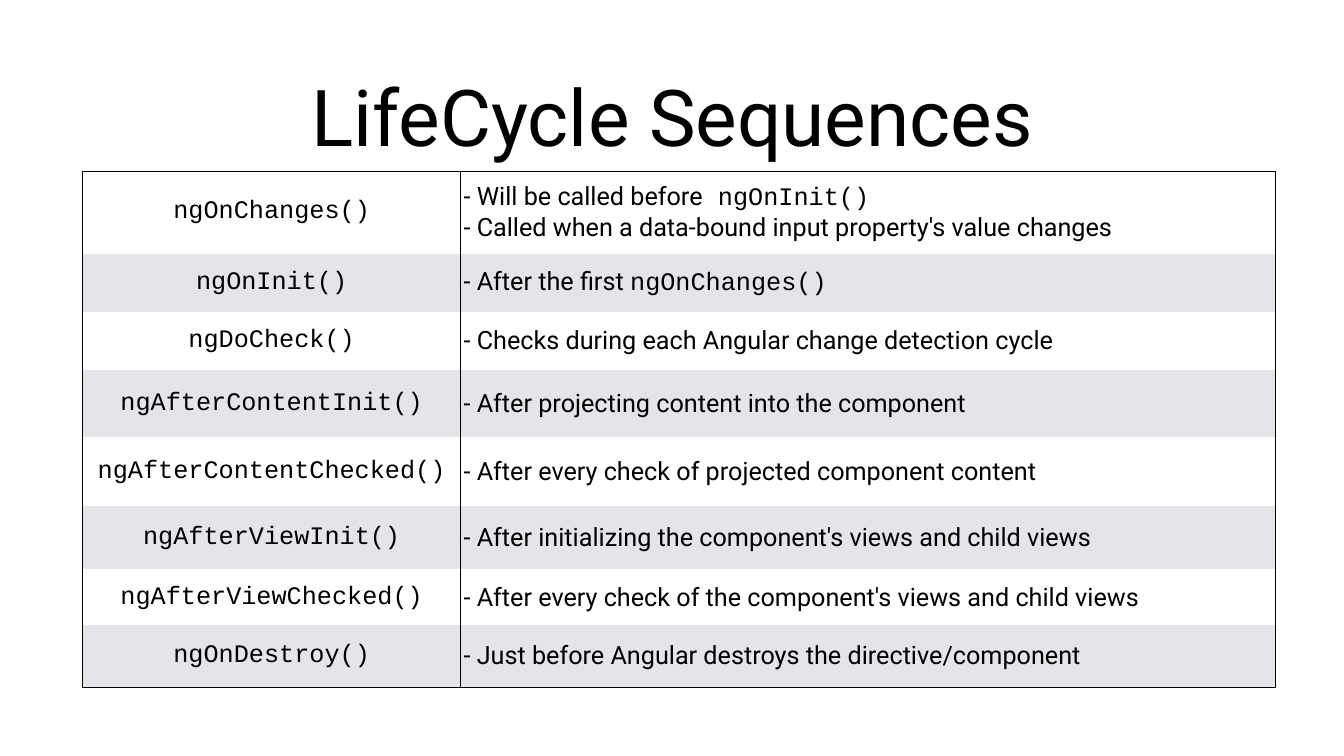
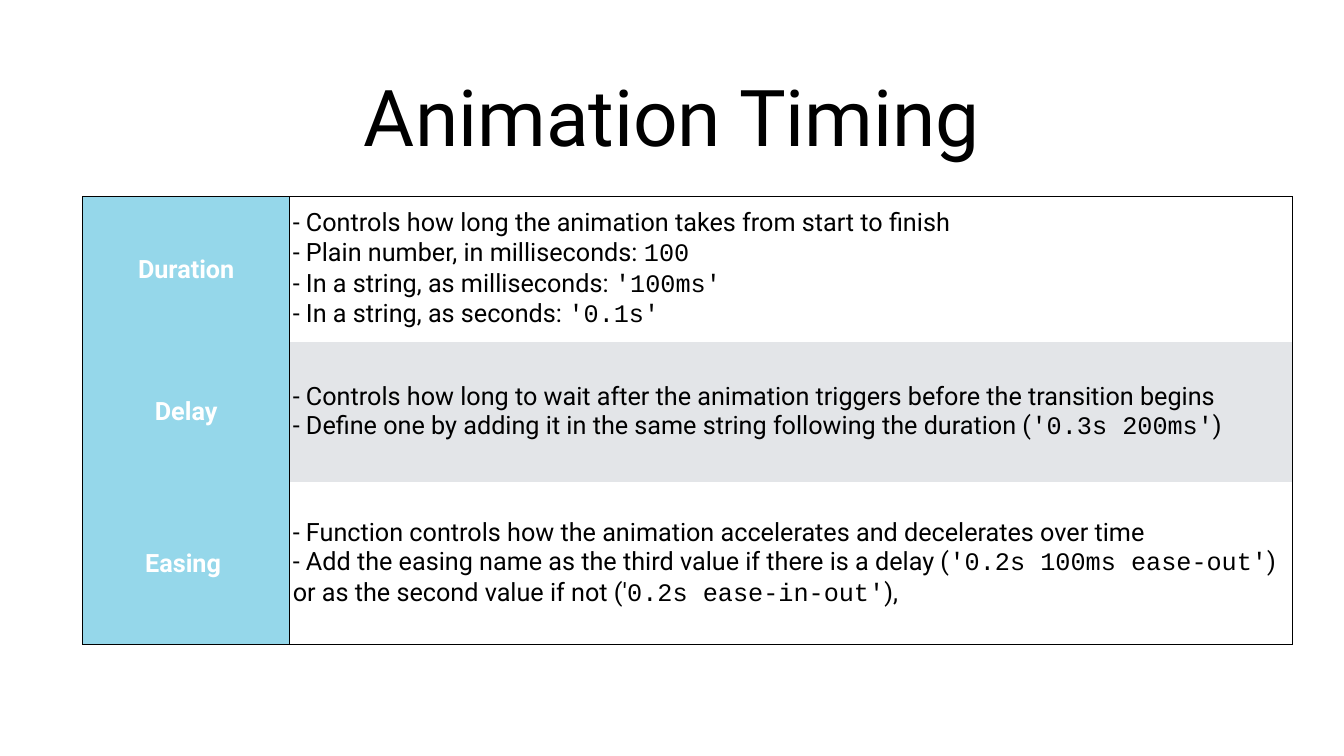
from lxml import etree
from pptx import Presentation
from pptx.dml.color import RGBColor
from pptx.enum.text import MSO_ANCHOR, PP_ALIGN
from pptx.oxml.ns import qn
from pptx.util import Inches, Pt

CENTER, LEFT = PP_ALIGN.CENTER, PP_ALIGN.LEFT
MIDDLE = MSO_ANCHOR.MIDDLE

BLACK = RGBColor(0x00, 0x00, 0x00)
WHITE = RGBColor(0xFF, 0xFF, 0xFF)
GRAY = RGBColor(0xE3, 0xE5, 0xE8)
SKY = RGBColor(0x95, 0xD7, 0xEA)

WIDTH, HEIGHT = Inches(26.67), Inches(15)
INSET = Inches(0.06)
BORDER = Pt(1)
TITLE_BOX = (6.94, 6.93, 86.13, 16.67)

TITLE = {"size": Pt(112), "name": "Roboto", "color": BLACK, "bold": False}
BODY = {**TITLE, "size": Pt(36)}
CODE = {**BODY, "name": "Courier New"}
HEADING = {**BODY, "color": WHITE, "bold": True}
MARGINS = {f"margin_{side}": INSET for side in ("left", "top", "right", "bottom")}

LIFECYCLE = {
    "title": "LifeCycle Sequences",
    "box": (6.15, 22.6, 88.75, 68.27),
    "columns": (7.5, 16.17),
    "label_format": CODE,
    "label_fill": None,
    "rows": [
        (1.64, "ngOnChanges()", ["- Will be called before` ngOnInit()`",
                                 "- Called when a data-bound input property's value changes"]),
        (1.17, "ngOnInit()", ["- After the first `ngOnChanges()`"]),
        (1.14, "ngDoCheck()", ["- Checks during each Angular change detection cycle"]),
        (1.34, "ngAfterContentInit()", ["- After projecting content into the component"]),
        (1.36, "ngAfterContentChecked()", ["- After every check of projected component content"]),
        (1.26, "ngAfterViewInit()", ["- After initializing the component's views and child views"]),
        (1.11, "ngAfterViewChecked()", ["- After every check of the component's views and child views"]),
        (1.22, "ngOnDestroy()", ["- Just before Angular destroys the directive/component"]),
    ],
}

TIMING = {
    "title": "Animation Timing",
    "box": (6.15, 26, 89.99, 59.27),
    "columns": (4.11, 19.89),
    "label_format": HEADING,
    "label_fill": SKY,
    "rows": [
        (2.89, "Duration", ["- Controls how long the animation takes from start to finish",
                            "- Plain number, in milliseconds: `100`",
                            "- In a string, as milliseconds: `'100ms'`",
                            "- In a string, as seconds: `'0.1s'`"]),
        (2.78, "Delay", ["- Controls how long to wait after the animation triggers before the transition begins",
                         "- Define one by adding it in the same string following the duration (`'0.3s 200ms'`)"]),
        (3.22, "Easing ", ["- Function controls how the animation accelerates and decelerates over time",
                           "- Add the easing name as the third value if there is a delay "
                           "(`'0.2s 100ms ease-out'`) or as the second value if not ('`0.2s ease-in-out'`),"]),
    ],
}


def set_values(target, values):
    for name, value in values.items():
        setattr(target, name, value)


def to_lengths(box):
    return [int(share * side / 100) for share, side in zip(box, (WIDTH, HEIGHT) * 2)]


def write_lines(frame, lines, text_format, align):
    for index, line in enumerate(lines):
        para = frame.paragraphs[0] if index == 0 else frame.add_paragraph()
        para.alignment = align
        for part, text in enumerate(line.split("`")):
            if not text:
                continue
            span = para.add_run()
            span.text = text
            values = dict(CODE if part % 2 else text_format)
            span.font.color.rgb = values.pop("color")
            set_values(span.font, values)


def set_borders(cell, visible_sides):
    properties = cell._tc.get_or_add_tcPr()
    for position, side in enumerate("LRTB"):
        line = etree.Element(qn(f"a:ln{side}"), w=str(BORDER))
        if side in visible_sides:
            fill = etree.SubElement(line, qn("a:solidFill"))
            etree.SubElement(fill, qn("a:srgbClr"), val=str(BLACK))
        else:
            etree.SubElement(line, qn("a:noFill"))
        properties.insert(position, line)


def fill_cell(cell, lines, text_format, align, color, sides):
    set_values(cell, {**MARGINS, "vertical_anchor": MIDDLE})
    cell.fill.solid()
    cell.fill.fore_color.rgb = color
    set_borders(cell, sides)
    write_lines(cell.text_frame, lines, text_format, align)


def add_title(page, text, box):
    frame = page.shapes.add_textbox(*to_lengths(box)).text_frame
    set_values(frame, {**MARGINS, "word_wrap": True, "vertical_anchor": MIDDLE})
    write_lines(frame, [text], TITLE, CENTER)


def add_definition_table(page, content, box):
    rows, columns = content["rows"], content["columns"]
    left, top, width, height = to_lengths(box)
    table = page.shapes.add_table(len(rows), len(columns), left, top, width, height).table
    set_values(table, {"first_row": False, "horz_banding": False})
    for column, weight in zip(table.columns, columns):
        column.width = int(width * weight / sum(columns))
    total = sum(weight for weight, _, _ in rows)
    for index, (weight, label, lines) in enumerate(rows):
        table.rows[index].height = int(height * weight / total)
        band = GRAY if index % 2 else WHITE
        sides = "LR" + "T" * (index == 0) + "B" * (index == len(rows) - 1)
        fill_cell(table.cell(index, 0), [label], content["label_format"], CENTER,
                  content["label_fill"] or band, sides)
        fill_cell(table.cell(index, 1), lines, BODY, LEFT, band, sides)


def add_table_page(deck, content):
    page = deck.slides.add_slide(deck.slide_layouts[6])
    page.background.fill.solid()
    page.background.fill.fore_color.rgb = WHITE
    add_title(page, content["title"], TITLE_BOX)
    add_definition_table(page, content, content["box"])


def main():
    deck = Presentation()
    set_values(deck, {"slide_width": WIDTH, "slide_height": HEIGHT})
    for content in (LIFECYCLE, TIMING):
        add_table_page(deck, content)
    deck.save("out.pptx")


if __name__ == "__main__":
    main()
